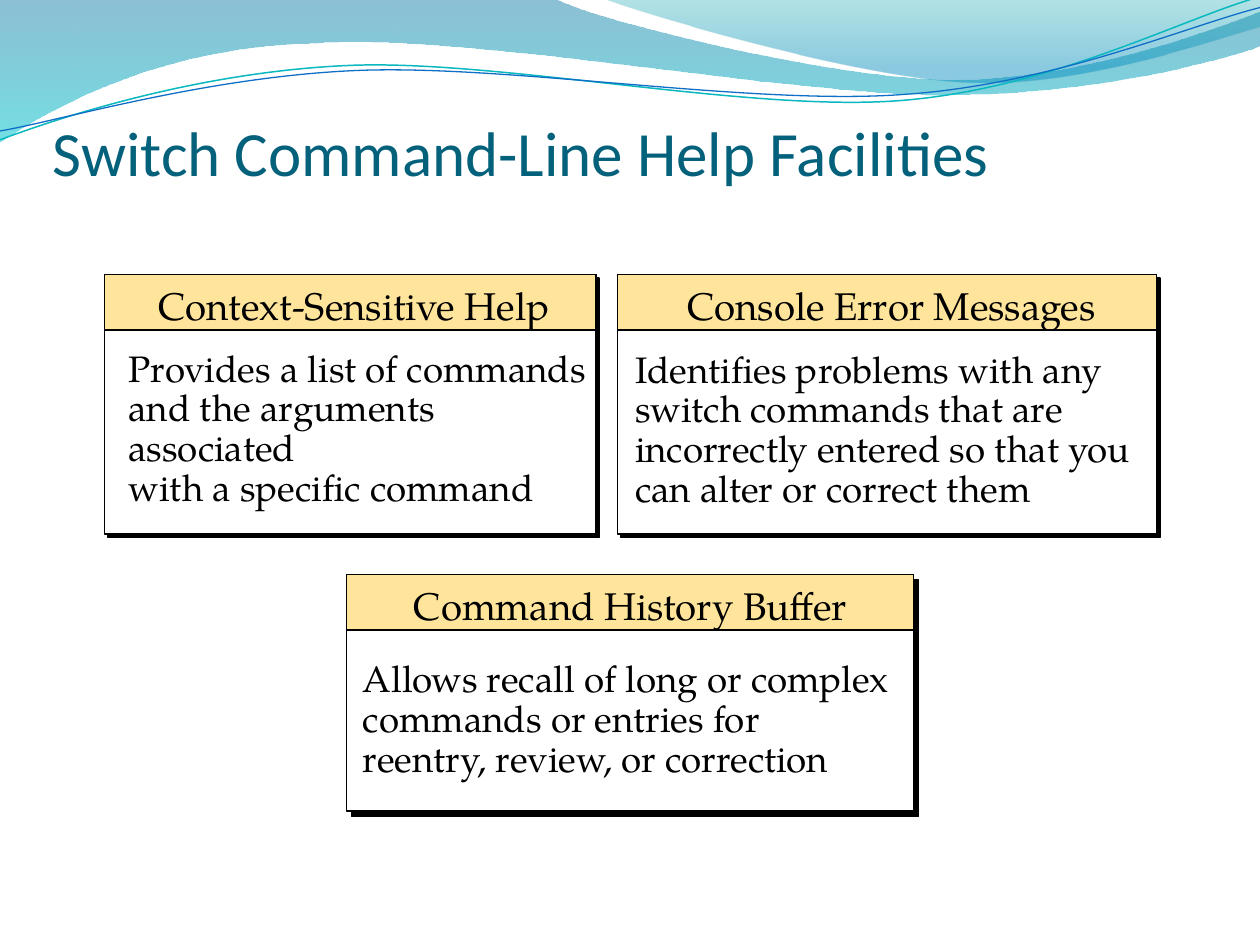
from lxml import etree
from pptx import Presentation
from pptx import util as u
from pptx.dml.color import RGBColor
from pptx.enum import shapes, text
from pptx.oxml.ns import qn

COLUMNS = 10  # square grid cells across the slide; rows use the same unit
SERIF, SANS = "TeX Gyre Pagella", "Calibri"
BLACK, WHITE, CREAM, TEAL = "000000", "FFFFFF", "FFE59B", "04617B"
CARD_TOP, HEADER_HEIGHT, LABEL_HEIGHT, BODY_HEIGHT = 2.18, 0.44, 0.48, 1.38


def color(code):
    return RGBColor.from_string(code)


class SlideBuilder:
    def __init__(self, presentation):
        self.slide = presentation.slides.add_slide(presentation.slide_layouts[6])
        self.unit = presentation.slide_width / COLUMNS

    def place(self, *cells):
        return [round(cell * self.unit) for cell in cells]

    def outline(self, start, segments, closed):
        """Build a freeform; a segment is (end,) or (control, control, end)."""
        builder = self.slide.shapes.build_freeform(*self.place(*start))
        builder.add_line_segments(
            [self.place(*segment[-1]) for segment in segments], close=closed)
        shape = builder.convert_to_shape()
        shape.shadow.inherit = False
        edges = list(shape.element.iter(qn("a:lnTo")))
        for edge, (*controls, _) in zip(edges, segments):
            if controls:
                edge.tag = qn("a:cubicBezTo")
            for index, control in enumerate(controls):
                x, y = self.place(*control)
                point = etree.Element(qn("a:pt"), x=str(x - shape.left), y=str(y - shape.top))
                edge.insert(index, point)
        return shape

    def wave(self, start, segments, stops):
        """Draw a top-to-bottom gradient; stops hold position, colour, opacity."""
        shape = self.outline(start, segments, True)
        shape.line.fill.background()
        shape.fill.gradient()
        shape.fill.gradient_angle = 270
        for stop, (position, code, _) in zip(shape.fill.gradient_stops, stops):
            stop.position = position
            stop.color.rgb = color(code)
        for element, (_, _, opacity) in zip(shape.element.iter(qn("a:srgbClr")), stops):
            etree.SubElement(element, qn("a:alpha"), val=str(opacity * 1000))

    def strand(self, start, segments, code, width):
        shape = self.outline(start, segments, False)
        shape.fill.background()
        shape.line.color.rgb = color(code)
        shape.line.width = u.Pt(width)

    def box(self, left, top, width, height, fill, shadow=0):
        shape = self.slide.shapes.add_shape(
            shapes.MSO_SHAPE.RECTANGLE, *self.place(left, top, width, height))
        shape.shadow.inherit = False
        shape.fill.solid()
        shape.fill.fore_color.rgb = color(fill)
        shape.line.color.rgb = color(BLACK)
        shape.line.width = u.Pt(1)
        if shadow:
            effects = shape.element.spPr.find(qn("a:effectLst"))
            outer = etree.SubElement(effects, qn("a:outerShdw"), dist=str(u.Pt(shadow)),
                                     dir="2700000", algn="ctr", rotWithShape="0")
            etree.SubElement(outer, qn("a:srgbClr"), val=BLACK)

    def label(self, area, words, size, font=SERIF, code=BLACK, wrap=True,
              align=text.PP_ALIGN.LEFT, anchor=text.MSO_ANCHOR.MIDDLE,
              insets=(0.11, 0.06, 0.11, 0.06), spacing=None,
              fit=text.MSO_AUTO_SIZE.SHAPE_TO_FIT_TEXT):
        frame = self.slide.shapes.add_textbox(*self.place(*area)).text_frame
        frame.word_wrap = wrap
        frame.auto_size = fit
        frame.vertical_anchor = anchor
        (frame.margin_left, frame.margin_top,
         frame.margin_right, frame.margin_bottom) = self.place(*insets)
        paragraph = frame.paragraphs[0]
        paragraph.text = words
        paragraph.alignment = align
        paragraph.line_spacing = spacing
        paragraph.font.size = u.Pt(size)
        paragraph.font.name = font
        paragraph.font.color.rgb = color(code)

    def card(self, area, shadow, heading, heading_span, body, body_area):
        left, top, width, _ = area
        heading_left, heading_width = heading_span
        self.box(*area, WHITE, shadow)
        self.box(left, top, width, HEADER_HEIGHT, CREAM)
        self.label((heading_left, top, heading_width, LABEL_HEIGHT), heading, 22,
                   wrap=False, align=text.PP_ALIGN.CENTER)
        self.label((*body_area, BODY_HEIGHT), body, 21, spacing=0.9)


def main():
    presentation = Presentation()
    presentation.slide_width, presentation.slide_height = u.Inches(10), u.Inches(7.5)
    builder = SlideBuilder(presentation)

    builder.wave((0, 0), [
        ((4.4, -0.01),),
        ((4.76, 0.17), (6.64, 0.63), (7.58, 0.63)),
        ((8.53, 0.63), (9.58, 0.26), (10, 0.09)),
        ((10.01, 0.36),),
        ((9.83, 0.44), (8.7, 0.76), (7.46, 0.75)),
        ((6.22, 0.75), (3.82, 0.28), (2.57, 0.34)),
        ((1.29, 0.36), (0.46, 0.83), (-0.01, 1.13)),
        ((0, 0),)], [(0, "0074A1", 45), (1, "00C6CF", 55)])
    builder.wave((4.79, -0.01), [
        ((5.09, 0.11), (6.82, 0.62), (7.69, 0.65)),
        ((8.56, 0.69), (9.61, 0.32), (10, 0.21)),
        ((10, 0),),
        ((4.79, -0.01),)], [(0, "00A1A9", 30), (0.8, "008BBF", 45)])
    builder.strand((0, 1.11), [
        ((0.48, 0.93), (1.58, 0.57), (2.77, 0.52)),
        ((3.95, 0.47), (5.93, 0.89), (7.13, 0.8)),
        ((8.33, 0.71), (9.38, 0.15), (9.98, -0.02))], "0AB8BF", 0.85)
    builder.strand((0, 1.04), [
        ((0.47, 0.96), (1.64, 0.61), (2.83, 0.56)),
        ((4.03, 0.51), (5.97, 0.84), (7.17, 0.75)),
        ((8.36, 0.67), (9.41, 0.21), (10, 0.06))], "0F6FC6", 0.75)

    builder.card((0.83, CARD_TOP, 3.9, 2.06), 2.8, "Context-Sensitive Help", (1.03, 3.56),
                 "Provides a list of commands and the arguments associated \n"
                 "with a specific command", (0.91, 2.72, 3.94))
    builder.card((4.9, CARD_TOP, 4.28, 2.06), 2.8, "Console Error Messages", (5.17, 3.81),
                 "Identifies problems with any switch commands that are incorrectly "
                 "entered so that you can alter or correct them", (4.93, 2.73, 4.42))
    builder.card((2.75, 4.56, 4.5, 1.88), 4.2, "Command History Buffer", (3.08, 3.85),
                 "Allows recall of long or complex commands or entries for reentry, "
                 "review, or correction", (2.77, 5.03, 4.42))
    builder.label((0.42, 0.25, 9.08, 1.25), "Switch Command-Line Help Facilities", 36,
                  font=SANS, code=TEAL, anchor=text.MSO_ANCHOR.BOTTOM,
                  insets=(0, 0.05, 0, 0), fit=text.MSO_AUTO_SIZE.NONE)
    presentation.save("out.pptx")


if __name__ == "__main__":
    main()
